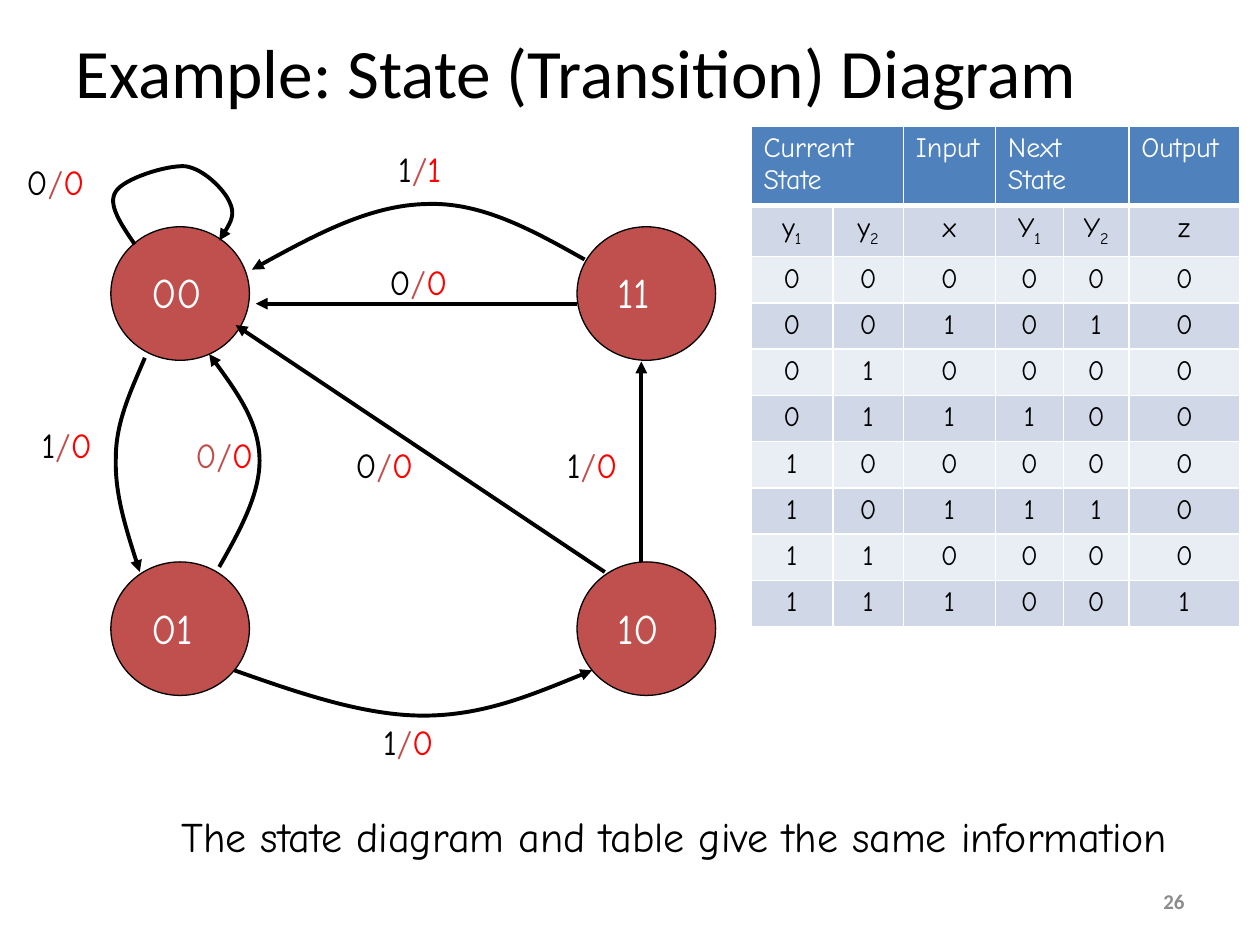
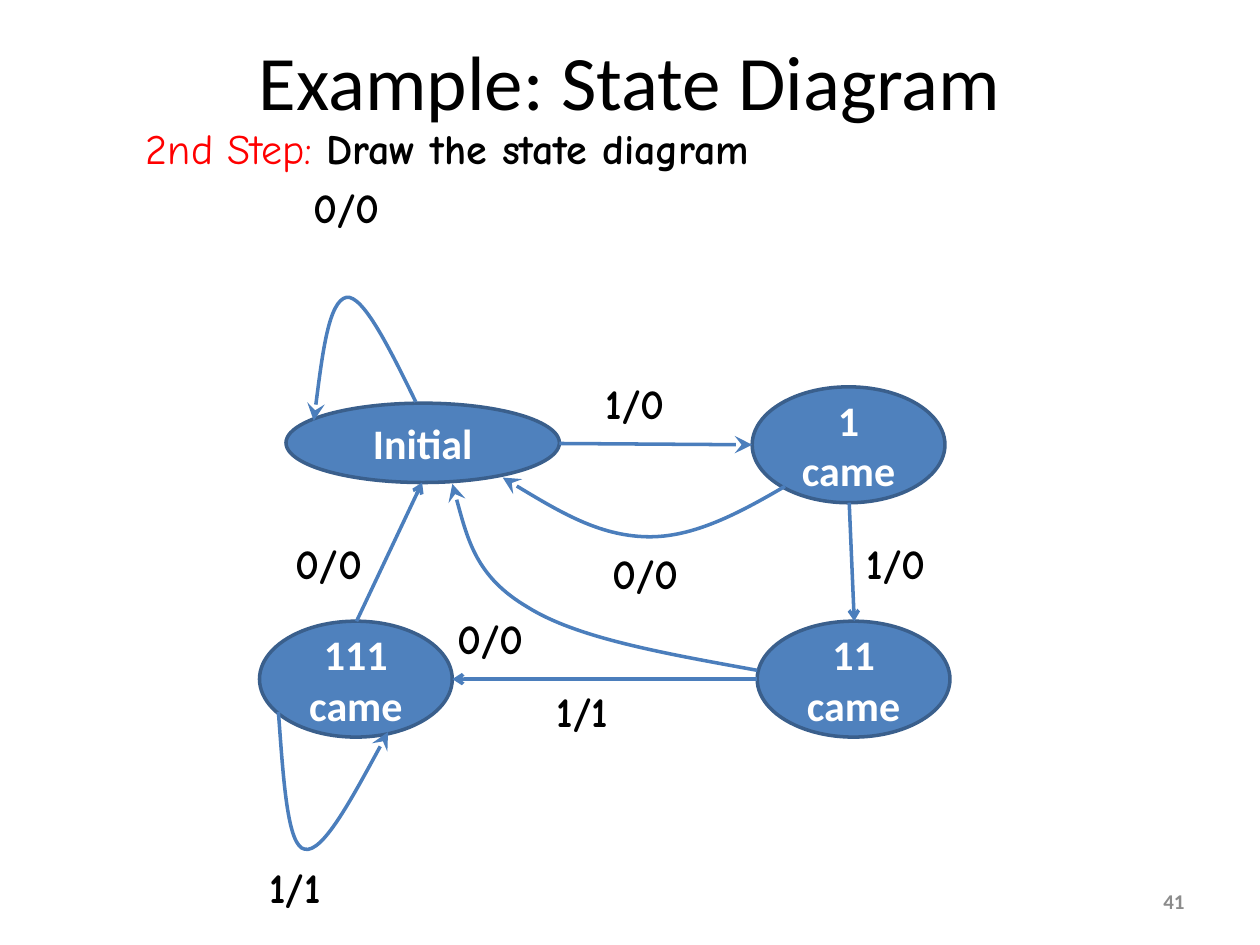
from typing import NamedTuple, Optional

from pptx import Presentation
from pptx.dml.color import RGBColor
from pptx.enum.shapes import MSO_CONNECTOR, MSO_SHAPE
from pptx.enum.text import MSO_ANCHOR, MSO_AUTO_SIZE, PP_ALIGN
from pptx.oxml.ns import qn
from pptx.oxml.xmlchemy import OxmlElement
from pptx.util import Inches, Pt

BLACK = RGBColor(0x00, 0x00, 0x00)
WHITE = RGBColor(0xFF, 0xFF, 0xFF)
RED = RGBColor(0xFF, 0x00, 0x00)
BRICK = RGBColor(0xC0, 0x50, 0x4D)
BLUE = RGBColor(0x4F, 0x81, 0xBD)
DARK_BLUE = RGBColor(0x3A, 0x5F, 0x8C)
ARROW_BLUE = RGBColor(0x4B, 0x7E, 0xBC)
BAND_DARK = RGBColor(0xD0, 0xD8, 0xE8)
BAND_LIGHT = RGBColor(0xE9, 0xED, 0xF4)
GREY = RGBColor(0x8C, 0x8C, 0x8C)

HEADING_FONT = "Calibri"
HAND_FONT = "Comic Neue"


class Run(NamedTuple):
    text: str
    color: RGBColor = BLACK
    bold: bool = False
    subscript: bool = False


class Box(NamedTuple):
    left: float
    top: float
    width: float
    height: float

    def lengths(self) -> list:
        return [Inches(value) for value in self]


class State(NamedTuple):
    name: str
    box: Box


class Transition(NamedTuple):
    """Two points make a straight arrow; more are Bezier points."""
    points: list
    head: str


class Label(NamedTuple):
    text: str
    left: float
    top: float
    width: float = 0.78
    input_color: RGBColor = BLACK


class ArrowStyle(NamedTuple):
    color: RGBColor
    width: float


BLACK_ARROW = ArrowStyle(BLACK, 2.25)
BLUE_ARROW = ArrowStyle(ARROW_BLUE, 2)

CODED_STATES = [State(name, Box(left, top, 1.1, 1.06)) for name, left, top in [
    ("00", 0.88, 1.8), ("01", 0.88, 4.46), ("10", 4.58, 4.46), ("11", 4.58, 1.8)]]

CODED_TRANSITIONS = [Transition(points, "triangle") for points in [
    [(1.07, 1.94), (0.96, 1.78), (0.85, 1.62), (0.92, 1.52),
     (0.98, 1.42), (1.32, 1.31), (1.47, 1.32),
     (1.62, 1.34), (1.78, 1.51), (1.82, 1.6),
     (1.87, 1.7), (1.81, 1.81), (1.74, 1.91)],
    [(1.15, 2.84), (1.04, 3.1), (0.92, 3.35), (0.92, 3.63),
     (0.91, 3.91), (1.01, 4.23), (1.11, 4.54)],
    [(1.74, 4.5), (1.91, 4.2), (2.07, 3.91), (2.06, 3.63),
     (2.05, 3.35), (1.86, 3.08), (1.66, 2.81)],
    [(1.86, 5.32), (2.37, 5.5), (2.89, 5.68), (3.36, 5.68),
     (3.83, 5.68), (4.26, 5.5), (4.7, 5.32)],
    [(4.64, 2.06), (4.23, 1.83), (3.82, 1.6), (3.38, 1.62),
     (2.94, 1.63), (2.47, 1.88), (2, 2.14)],
    [(4.8, 4.54), (1.87, 2.58)],
    [(5.09, 4.46), (5.09, 2.87)],
    [(4.58, 2.41), (2.03, 2.41)],
]]

CODED_LABELS = [
    Label("0/0", 0.21, 1.27, 0.48),
    Label("1/0", 0.33, 3.36, 0.44),
    Label("0/0", 1.55, 3.44, 0.48, BRICK),
    Label("1/0", 3.04, 5.72, 0.44),
    Label("1/1", 3.16, 1.17, 0.39),
    Label("0/0", 2.82, 3.52, 0.48),
    Label("1/0", 4.5, 3.52, 0.44),
    Label("0/0", 3.09, 2.07, 0.48),
]

TABLE_HEADINGS = {0: "Current State", 2: "Input", 3: "Next State", 5: "Output"}
TABLE_VARIABLES = ["y1", "y2", "x", "Y1", "Y2", "z"]
TABLE_ROWS = ["000000", "001010", "010000", "011100",
              "100000", "101110", "110000", "111001"]
COLUMN_WIDTHS = [0.65, 0.56, 0.73, 0.54, 0.52, 0.88]
ROW_HEIGHT = 0.24

COUNT_STATES = [
    State("Initial", Box(2.27, 3.2, 2.17, 0.63)),
    State("1 came", Box(5.97, 3.07, 1.53, 0.92)),
    State("11 came", Box(6.01, 4.93, 1.53, 0.92)),
    State("111 came", Box(2.06, 4.93, 1.53, 0.92)),
]

COUNT_TRANSITIONS = [
    Transition([(3.3, 3.19), (3.09, 2.76), (2.88, 2.34), (2.75, 2.36),
                (2.61, 2.39), (2.55, 2.87), (2.49, 3.34)], "stealth"),
    Transition([(4.44, 3.52), (5.97, 3.53)], "stealth"),
    Transition([(6.23, 3.86), (5.87, 4.07), (5.5, 4.27), (5.13, 4.26),
                (4.75, 4.25), (4.37, 4.02), (3.99, 3.79)], "stealth"),
    Transition([(6.74, 3.99), (6.78, 4.93)], "arrow"),
    Transition([(6.01, 5.32), (5.3, 5.19), (4.59, 5.07), (4.19, 4.82),
                (3.78, 4.58), (3.69, 4.21), (3.59, 3.84)], "stealth"),
    Transition([(6.01, 5.39), (3.59, 5.39)], "arrow"),
    Transition([(2.83, 4.93), (3.35, 3.83)], "arrow"),
    Transition([(2.21, 5.65), (2.25, 6.18), (2.28, 6.72), (2.42, 6.74),
                (2.56, 6.77), (2.82, 6.29), (3.08, 5.81)], "stealth"),
]

COUNT_LABELS = [
    Label("0/0", 2.39, 1.39), Label("1/0", 4.71, 2.95), Label("0/0", 4.76, 4.3),
    Label("1/0", 6.78, 4.22), Label("0/0", 3.53, 4.81), Label("1/1", 4.32, 5.39),
    Label("0/0", 2.25, 4.22), Label("1/1", 2.04, 6.79),
]


def set_all(target, values: dict) -> None:
    for name, value in values.items():
        setattr(target, name, value)


def write(frame, runs: list, size: float, font: str = HAND_FONT,
          align: PP_ALIGN = PP_ALIGN.LEFT) -> None:
    paragraph = frame.paragraphs[0]
    paragraph.alignment = align
    for part in runs:
        run = paragraph.add_run()
        run.text = part.text
        set_all(run.font, {"name": font, "size": Pt(size), "bold": part.bold})
        run.font.color.rgb = part.color
        if part.subscript:
            run.font._element.set("baseline", "-25000")


def add_text(slide, box: Box, runs: list, size: float, inset: Optional[float] = None,
             align: PP_ALIGN = PP_ALIGN.LEFT) -> None:
    frame = slide.shapes.add_textbox(*box.lengths()).text_frame
    set_all(frame, {"word_wrap": False, "auto_size": MSO_AUTO_SIZE.SHAPE_TO_FIT_TEXT})
    if inset is not None:
        sides = ("left", "top", "right", "bottom")
        set_all(frame, {f"margin_{side}": Inches(inset) for side in sides})
    write(frame, runs, size, align=align)


def add_titled_slide(deck, title: str, box: Box, size: float, align: PP_ALIGN,
                     number: str):
    slide = deck.slides.add_slide(deck.slide_layouts[5])
    heading = slide.shapes.title
    set_all(heading, dict(zip(("left", "top", "width", "height"), box.lengths())))
    set_all(heading.text_frame, {"vertical_anchor": MSO_ANCHOR.MIDDLE,
                                 "auto_size": MSO_AUTO_SIZE.NONE})
    write(heading.text_frame, [Run(title)], size, HEADING_FONT, align)

    footer = slide.shapes.add_textbox(*Box(7.17, 6.95, 2.33, 0.4).lengths()).text_frame
    set_all(footer, {"word_wrap": True, "vertical_anchor": MSO_ANCHOR.MIDDLE})
    write(footer, [Run(number, GREY, True)], 12, HEADING_FONT, PP_ALIGN.RIGHT)
    return slide


def add_ellipse(slide, box: Box, fill: RGBColor, outline: RGBColor, weight: float):
    ellipse = slide.shapes.add_shape(MSO_SHAPE.OVAL, *box.lengths())
    ellipse.shadow.inherit = False
    ellipse.fill.solid()
    ellipse.fill.fore_color.rgb = fill
    ellipse.line.color.rgb = outline
    ellipse.line.width = Pt(weight)
    return ellipse


def add_curve(slide, points: list):
    """Turn each three points after the first into one Bezier segment."""
    start, *rest = [(Inches(x), Inches(y)) for x, y in points]
    builder = slide.shapes.build_freeform(*start, scale=1.0)
    builder.add_line_segments(rest, close=False)
    curve = builder.convert_to_shape()
    outline = curve.element.xpath(".//a:path")[0]
    segments = outline.findall(qn("a:lnTo"))
    for first in range(0, len(segments), 3):
        bezier = OxmlElement("a:cubicBezTo")
        for segment in segments[first:first + 3]:
            bezier.append(segment[0])
            outline.remove(segment)
        outline.append(bezier)
    curve.fill.background()
    curve.shadow.inherit = False
    return curve


def add_straight(slide, points: list):
    ends = [Inches(value) for point in points for value in point]
    straight = slide.shapes.add_connector(MSO_CONNECTOR.STRAIGHT, *ends)
    straight.element.spPr.append(OxmlElement("a:effectLst"))
    return straight


def add_transition(slide, transition: Transition, style: ArrowStyle) -> None:
    draw = add_straight if len(transition.points) == 2 else add_curve
    arrow = draw(slide, transition.points)
    arrow.line.color.rgb = style.color
    arrow.line.width = Pt(style.width)
    head = OxmlElement("a:tailEnd")
    head.set("type", transition.head)
    if transition.head == "stealth":
        head.set("w", "lg")
        head.set("len", "lg")
    arrow.element.xpath(".//a:ln")[0].append(head)


def add_border(cell, bottom_width: float) -> None:
    for side, width in (("L", 1), ("R", 1), ("T", 1), ("B", bottom_width)):
        edge = OxmlElement(f"a:ln{side}")
        edge.set("w", str(Pt(width)))
        fill = OxmlElement("a:solidFill")
        color = OxmlElement("a:srgbClr")
        color.set("val", str(WHITE))
        fill.append(color)
        edge.append(fill)
        cell._tc.get_or_add_tcPr().append(edge)


def variable_runs(variable: str) -> list:
    letter, index = variable[0], variable[1:]
    return [Run(letter)] + ([Run(index, subscript=True)] if index else [])


def add_state_table(slide) -> None:
    row_count = len(TABLE_ROWS) + 2
    box = Box(5.96, 1, sum(COLUMN_WIDTHS), ROW_HEIGHT * row_count)
    table = slide.shapes.add_table(row_count, len(COLUMN_WIDTHS), *box.lengths()).table
    for column, width in zip(table.columns, COLUMN_WIDTHS):
        column.width = Inches(width)
    for row_index in range(row_count):
        band = BAND_DARK if row_index % 2 else BAND_LIGHT
        for column_index in range(len(COLUMN_WIDTHS)):
            cell = table.cell(row_index, column_index)
            add_border(cell, 1 if row_index else 3)
            cell.fill.solid()
            cell.fill.fore_color.rgb = band if row_index else BLUE
            if row_index == 0:
                heading = TABLE_HEADINGS.get(column_index)
                runs, align = [Run(heading, WHITE)] if heading else [], PP_ALIGN.LEFT
            elif row_index == 1:
                runs, align = variable_runs(TABLE_VARIABLES[column_index]), PP_ALIGN.CENTER
            else:
                runs = [Run(TABLE_ROWS[row_index - 2][column_index])]
                align = PP_ALIGN.CENTER
            write(cell.text_frame, runs, 16, align=align)
    for first in (0, 3):
        table.cell(0, first).merge(table.cell(0, first + 1))


def build_transition_slide(deck) -> None:
    slide = add_titled_slide(deck, "Example: State (Transition) Diagram",
                             Box(0.5, 0.21, 9, 0.7), 39.6, PP_ALIGN.LEFT, "26")
    for name, box in CODED_STATES:
        add_ellipse(slide, box, BRICK, BLACK, 0.75)
        name_box = Box(box.left + 0.22, box.top + 0.27, 0.65, 0.5)
        add_text(slide, name_box, [Run(name, WHITE)], 24)
    for transition in CODED_TRANSITIONS:
        add_transition(slide, transition, BLACK_ARROW)
    for label in CODED_LABELS:
        given, slash, output = label.text
        runs = [Run(given, label.input_color), Run(slash, BRICK), Run(output, RED)]
        add_text(slide, Box(label.left, label.top, label.width, 0.33), runs, 20, inset=0)
    add_text(slide, Box(0.95, 6.38, 8.8, 0.5),
             [Run("The state diagram and table give the same information")], 24,
             align=PP_ALIGN.CENTER)
    add_state_table(slide)


def build_count_slide(deck) -> None:
    slide = add_titled_slide(deck, "Example: State Diagram",
                             Box(0.5, 0.01, 9, 1.25), 44, PP_ALIGN.CENTER, "41")
    for name, box in COUNT_STATES:
        frame = add_ellipse(slide, box, BLUE, DARK_BLUE, 2).text_frame
        set_all(frame, {"word_wrap": True, "vertical_anchor": MSO_ANCHOR.MIDDLE})
        write(frame, [Run(name, WHITE, True)], 24, HEADING_FONT, PP_ALIGN.CENTER)
    for transition in COUNT_TRANSITIONS:
        add_transition(slide, transition, BLUE_ARROW)
    for label in COUNT_LABELS:
        add_text(slide, Box(label.left, label.top, label.width, 0.5),
                 [Run(label.text, bold=True)], 24)
    add_text(slide, Box(1.06, 0.92, 5.76, 0.5),
             [Run("2nd Step: ", RED), Run("Draw the state diagram", bold=True)], 24)


def main() -> None:
    deck = Presentation()
    deck.slide_width, deck.slide_height = Inches(10), Inches(7.5)
    build_transition_slide(deck)
    build_count_slide(deck)
    deck.save("out.pptx")


if __name__ == "__main__":
    main()
